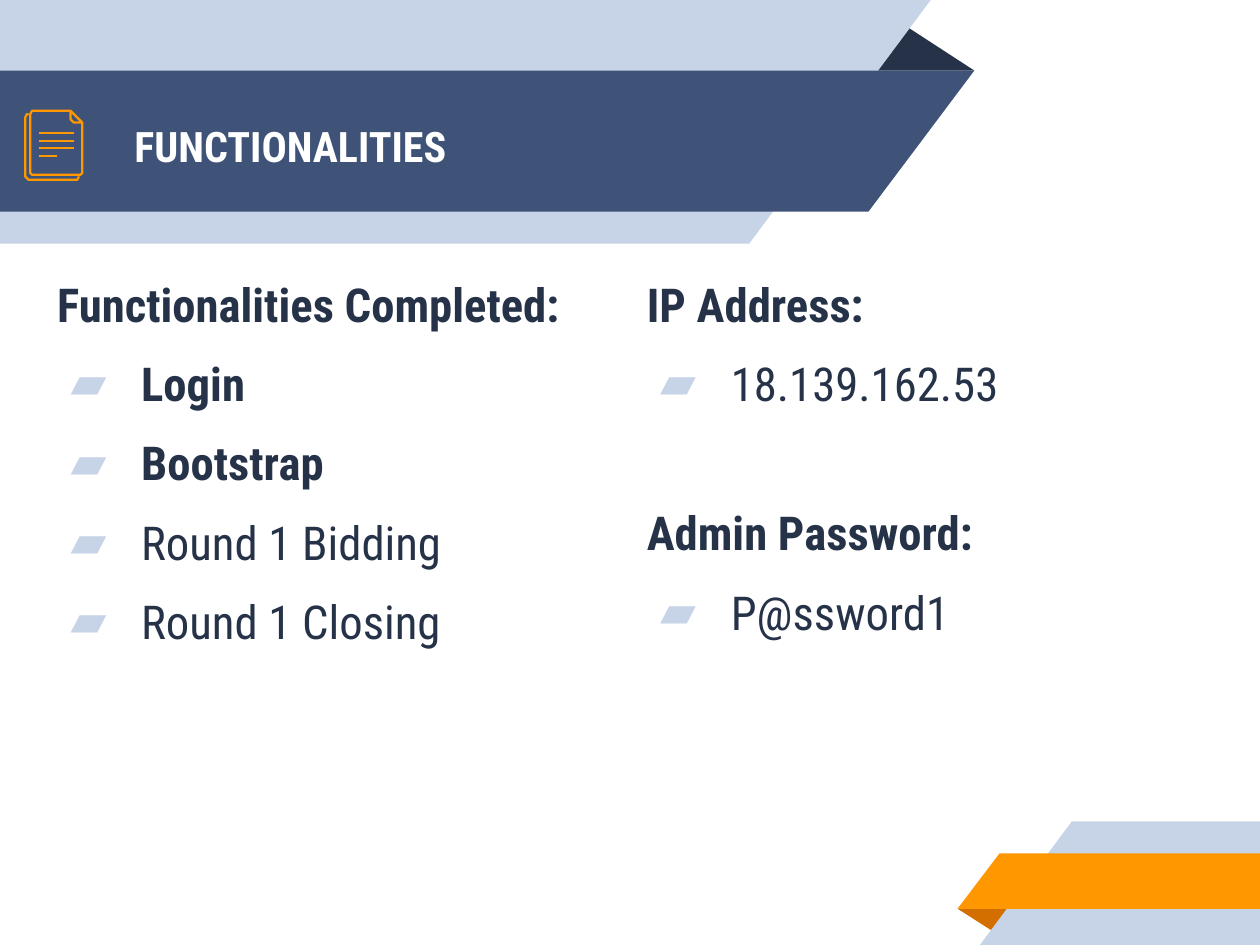
"""Build the functionalities slide with its ribbons, page icon and lists."""
import pptx
import pptx.util
import pptx.oxml
import pptx.dml.color
import pptx.enum.text
import pptx.oxml.ns
import lxml.etree

Inches = pptx.util.Inches
Pt = pptx.util.Pt
FONT = "Roboto Condensed"
HUES = {"ink": "263248", "navy": "3F5378", "pale": "C7D3E6",
        "gold": "FF9800", "rust": "D26F00", "white": "FFFFFF"}


def draw(points, fill=None, line=None, close=True):
    """Draw a flat outline through points given in inches."""
    spots = [(Inches(x), Inches(y)) for x, y in points]
    pen = slide.shapes.build_freeform(*spots[0], scale=1.0)
    pen.add_line_segments(spots[1:], close=close)
    shape = pen.convert_to_shape()
    shape.shadow.inherit = False
    if fill:
        shape.fill.solid()
        shape.fill.fore_color.rgb = pptx.dml.color.RGBColor.from_string(HUES[fill])
    else:
        shape.fill.background()
    if line:
        shape.line.color.rgb = pptx.dml.color.RGBColor.from_string(HUES[line])
        shape.line.width = Pt(0.96)
    else:
        shape.line.fill.background()


def setup(holder, box, anchor):
    """Place a placeholder and give its frame even margins."""
    holder.left, holder.top, holder.width, holder.height = map(Inches, box)
    frame = holder.text_frame
    frame.margin_left = frame.margin_right = Inches(0.1)
    frame.margin_top = frame.margin_bottom = Inches(0.1)
    frame.word_wrap = True
    frame.auto_size = pptx.enum.text.MSO_AUTO_SIZE.NONE
    frame.vertical_anchor = anchor
    return frame


deck = pptx.Presentation()
deck.slide_width = Inches(7.5)
deck.slide_height = deck.slide_width * 3 // 4
slide = deck.slides.add_slide(deck.slide_layouts[4])

ribbons = [
    ("ink", [(5.16, 0.42), (5.37, 0.14), (5.8, 0.42)]),
    ("pale", [(0, 0), (5.54, 0), (4.46, 1.45), (0, 1.45)]),
    ("navy", [(0, 0.42), (5.8, 0.42), (5.17, 1.26), (0, 1.26)]),
    ("rust", [(5.7, 5.41), (6.02, 5.41), (5.92, 5.55)]),
    ("pale", [(6.38, 4.89), (7.5, 4.89), (7.5, 5.63), (5.83, 5.63)]),
    ("gold", [(5.95, 5.08), (7.5, 5.08), (7.5, 5.41), (5.7, 5.41)]),
]
for hue, points in ribbons:
    draw(points, fill=hue)

back = [(0.47, 1.05), (0.46, 1.07), (0.17, 1.07), (0.16, 1.06),
        (0.15, 1.05), (0.15, 0.7), (0.16, 0.68), (0.17, 0.68)]
front = [(0.49, 0.73), (0.49, 1.03), (0.48, 1.04), (0.2, 1.04), (0.19, 1.04),
         (0.18, 1.03), (0.18, 0.68), (0.19, 0.66), (0.2, 0.66), (0.42, 0.66)]
rules = [[(0.23, y), (x, y)]
         for x, y in [(0.34, 0.93), (0.44, 0.88), (0.44, 0.84), (0.44, 0.79)]]
for points in [back, front] + rules:
    draw(points, line="gold", close=False)
draw([(0.42, 0.71), (0.42, 0.66), (0.49, 0.73), (0.44, 0.73), (0.43, 0.72)], line="gold")

title = slide.shapes.title
frame = setup(title, (0.7, 0.45, 5.75, 0.84), pptx.enum.text.MSO_ANCHOR.MIDDLE)
frame.text = "FUNCTIONALITIES"
head = frame.paragraphs[0]
head.alignment = pptx.enum.text.PP_ALIGN.LEFT
font = head.runs[0].font
font.name, font.size, font.bold = FONT, Pt(18), True
font.color.rgb = pptx.dml.color.RGBColor.from_string(HUES["white"])
title.element.getparent().append(title.element)

lists = [
    (1, (0.24, 1.54, 3.6, 2.98), 3, ["Functionalities Completed:", "Login", "Bootstrap",
                                     "Round 1 Bidding", "Round 1 Closing"]),
    (2, (3.75, 1.54, 3.67, 1.36), 1, ["IP Address:", "18.139.162.53"]),
    (3, (3.75, 2.9, 3.67, 1.36), 1, ["Admin Password:", "P@ssword1"]),
]
holders = {item.placeholder_format.idx: item for item in slide.placeholders}
for key, box, bolds, lines in lists:
    frame = setup(holders[key], box, pptx.enum.text.MSO_ANCHOR.TOP)
    frame.text = "\n".join(lines)
    for row, para in enumerate(frame.paragraphs):
        para.space_before = Pt(10 if row else 6)
        font = para.runs[0].font
        font.name, font.size, font.bold = FONT, Pt(20), row < bolds
        font.color.rgb = pptx.dml.color.RGBColor.from_string(HUES["ink"])
        props = para._p.get_or_add_pPr()
        props.set("marL", str(Inches(0.5 if row else 0)))
        props.set("indent", str(Inches(-0.42 if row else 0)))
        if row:
            tint = lxml.etree.SubElement(props, pptx.oxml.ns.qn("a:buClr"))
            lxml.etree.SubElement(tint, pptx.oxml.ns.qn("a:srgbClr"), val=HUES["pale"])
            lxml.etree.SubElement(props, pptx.oxml.ns.qn("a:buFont"), typeface=FONT)
            lxml.etree.SubElement(props, pptx.oxml.ns.qn("a:buChar"), char="▰")
        else:
            lxml.etree.SubElement(props, pptx.oxml.ns.qn("a:buNone"))

spare = holders[4].element
spare.getparent().remove(spare)

deck.save("out.pptx")
